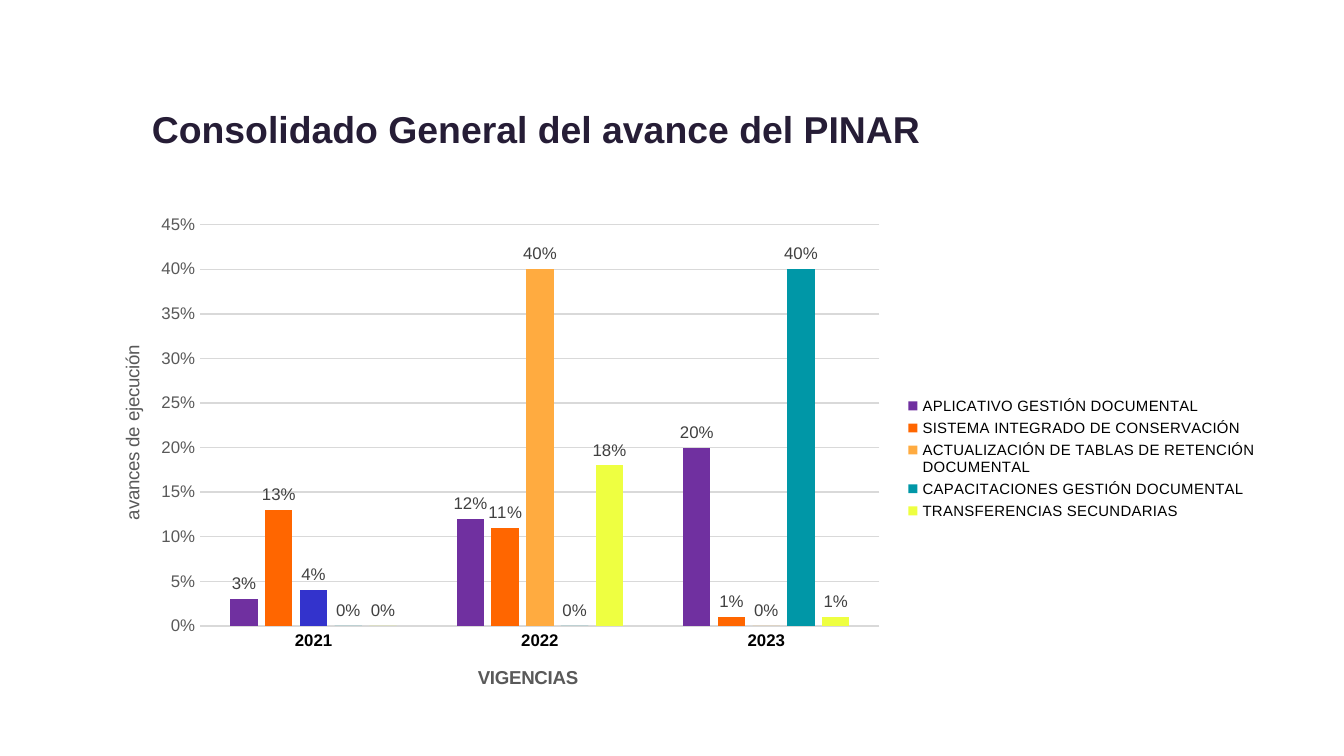
from lxml import etree
from pptx import Presentation, util as u
from pptx.chart.data import CategoryChartData
from pptx.dml.color import RGBColor
from pptx.enum import chart as charts
from pptx.oxml.ns import qn

PX = 9525
FONT = "Arial"
YEARS = ["2021", "2022", "2023"]
SERIES = [
    ("APLICATIVO GESTIÓN DOCUMENTAL", "7030A0", (0.03, 0.12, 0.20)),
    ("SISTEMA INTEGRADO DE CONSERVACIÓN", "FF6600", (0.13, 0.11, 0.01)),
    ("ACTUALIZACIÓN DE TABLAS DE RETENCIÓN DOCUMENTAL", "FFAB40", (0.04, 0.40, 0)),
    ("CAPACITACIONES GESTIÓN DOCUMENTAL", "0097A7", (0, 0, 0.40)),
    ("TRANSFERENCIAS SECUNDARIAS", "EEFF41", (0, 0.18, 0.01)),
]


def px(*lengths):
    """Turn pixel lengths into EMU."""
    return [u.Emu(length * PX) for length in lengths]


def color(hex_string):
    """Return the colour for a hex string."""
    return RGBColor.from_string(hex_string)


def style_font(font, size, hex_string, bold=False):
    """Set typeface, size, colour and weight of a font."""
    font.name, font.size, font.bold = FONT, u.Pt(size), bold
    font.color.rgb = color(hex_string)


def style_fill(fill, hex_string):
    """Make a fill solid in one colour."""
    fill.solid()
    fill.fore_color.rgb = color(hex_string)


def style_line(line):
    """Draw a thin grey line."""
    line.width = u.Pt(0.75)
    line.color.rgb = color("D9D9D9")


def place(element, index, **fractions):
    """Give a chart part a manual layout in fractions of the chart."""
    for old in element.findall(qn("c:layout")):
        element.remove(old)
    layout = etree.Element(qn("c:layout"))
    manual = etree.SubElement(layout, qn("c:manualLayout"))
    if index == 0:
        etree.SubElement(manual, qn("c:layoutTarget"), val="inner")
    for side in ("x", "y"):
        etree.SubElement(manual, qn(f"c:{side}Mode"), val="edge")
    for side, value in fractions.items():
        etree.SubElement(manual, qn(f"c:{side}"), val=str(value))
    element.insert(index, layout)


def add_axis_title(axis, wording, bold, x, y):
    """Write an axis title at a place in the chart."""
    paragraph = axis.axis_title.text_frame.paragraphs[0]
    run = paragraph.add_run()
    run.text = wording
    style_font(run.font, 10, "595959", bold)
    place(axis.axis_title._element, 1, x=x, y=y)


def style_axes(chart):
    """Format both axes of the chart."""
    years, progress = chart.category_axis, chart.value_axis
    for axis in (years, progress):
        axis.major_tick_mark = axis.minor_tick_mark = charts.XL_TICK_MARK.NONE
    style_font(years.tick_labels.font, 9, "000000", True)
    style_font(progress.tick_labels.font, 9, "595959")
    style_line(years.format.line)
    progress.format.line.fill.background()
    style_line(progress.major_gridlines.format.line)
    progress.minimum_scale, progress.maximum_scale = 0, 0.45
    progress.major_unit = 0.05
    progress.tick_labels.number_format = "0%"
    progress.tick_labels.number_format_is_linked = False
    add_axis_title(years, "VIGENCIAS", True, 0.33, 0.9)
    add_axis_title(progress, "avances de ejecución", False, 0.03, 0.27)


def style_series(series, hex_string):
    """Colour one series and label its columns."""
    style_fill(series.format.fill, hex_string)
    series.invert_if_negative = False
    labels = series.data_labels
    labels.show_value = True
    labels.number_format, labels.number_format_is_linked = "0%", False
    labels.position = charts.XL_LABEL_POSITION.OUTSIDE_END
    style_font(labels.font, 9, "404040")


def add_progress_chart(slide, left, top, width, height):
    """Add the column chart of progress by year."""
    data = CategoryChartData(number_format="0%")
    data.categories = YEARS
    for name, _, values in SERIES:
        data.add_series(name, values)
    chart = slide.shapes.add_chart(
        charts.XL_CHART_TYPE.COLUMN_CLUSTERED, *px(left, top, width, height), data
    ).chart
    style_font(chart.font, 10, "000000")
    chart.has_title = False
    plot = chart.plots[0]
    plot.gap_width, plot.overlap, plot.vary_by_categories = 219, -27, False
    for series, (_, hex_string, _) in zip(plot.series, SERIES):
        style_series(series, hex_string)
    style_fill(plot.series[2].points[0].format.fill, "3333CC")
    style_axes(chart)
    chart.has_legend = True
    chart.legend.position = charts.XL_LEGEND_POSITION.RIGHT
    chart.legend.include_in_layout = False
    style_font(chart.legend.font, 8, "000000")
    place(chart.legend._element, 1, x=0.69, y=0.37, w=0.3, h=0.26)
    plot_area = chart._chartSpace.chart.plotArea
    place(plot_area, 0, x=0.1, y=0.04, w=0.57, h=0.79)


def add_heading(slide, left, top, width, height):
    """Add the slide heading."""
    frame = slide.shapes.add_textbox(*px(left, top, width, height)).text_frame
    frame.word_wrap = True
    frame.margin_left = frame.margin_right = u.Inches(0.1)
    frame.margin_top = frame.margin_bottom = u.Inches(0.1)
    run = frame.paragraphs[0].add_run()
    run.text = "Consolidado General del avance del PINAR"
    style_font(run.font, 20, "261D36", True)


def main():
    """Build and save the presentation."""
    presentation = Presentation()
    presentation.slide_width, presentation.slide_height = px(960, 540)
    slide = presentation.slides.add_slide(presentation.slide_layouts[6])
    add_progress_chart(slide, 58, 146, 851, 363)
    add_heading(slide, 99, 66, 775, 63)
    presentation.save("out.pptx")


if __name__ == "__main__":
    main()
